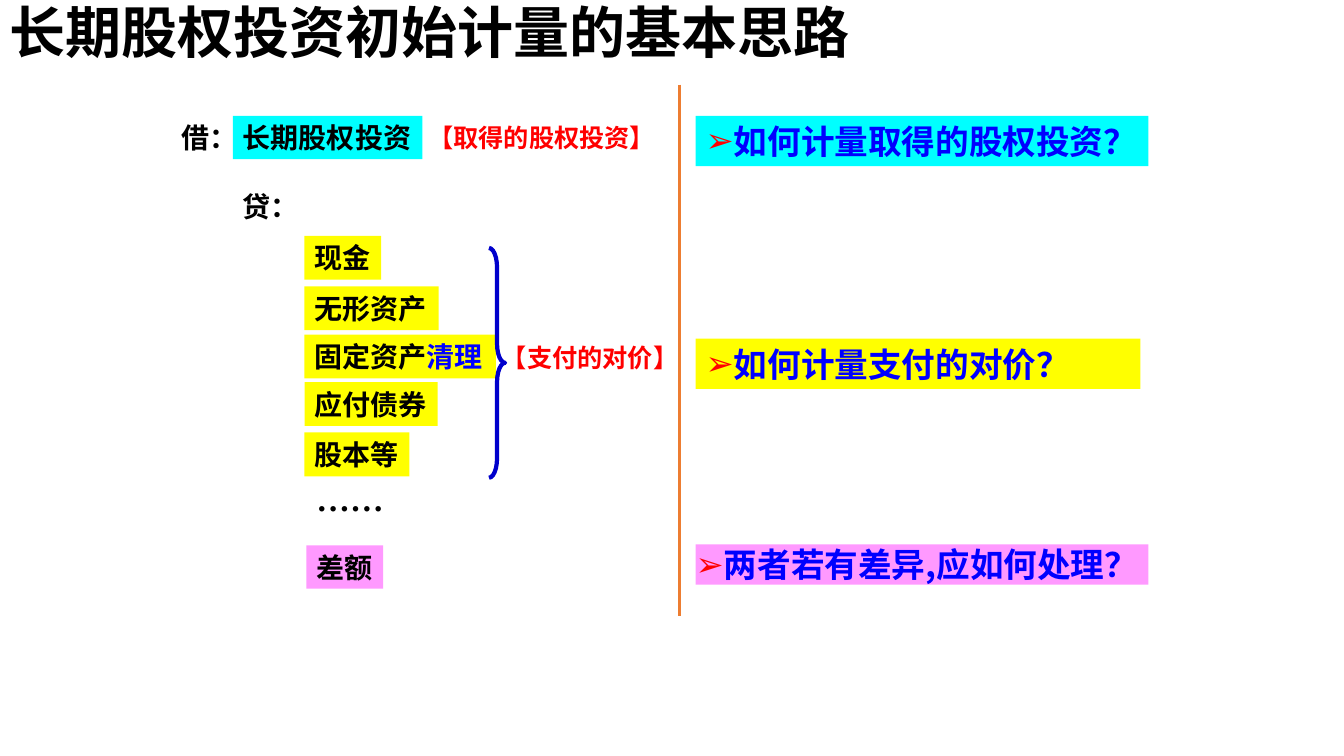
from dataclasses import dataclass
from typing import Optional

from lxml import etree
from pptx import Presentation
from pptx import util as u
from pptx.dml.color import RGBColor
from pptx.enum import shapes, text
from pptx.oxml import ns

# Grid of tenth-inch columns and rows
COLUMNS, ROWS = 133.3, 75
CELL = u.Inches(0.1)

BLACK = RGBColor(0x00, 0x00, 0x00)
RED = RGBColor(0xFF, 0x00, 0x00)
BLUE = RGBColor(0x00, 0x00, 0xFF)
NAVY = RGBColor(0x00, 0x00, 0xCC)
CYAN = RGBColor(0x00, 0xFF, 0xFF)
YELLOW = RGBColor(0xFF, 0xFF, 0x00)
PINK = RGBColor(0xFF, 0x99, 0xFF)
ORANGE = RGBColor(0xED, 0x7D, 0x31)
SANS, ARIAL, TIMES = "Noto Sans CJK SC", "Arial", "Times New Roman"


@dataclass(frozen=True)
class Span:
    words: str
    color: RGBColor = BLACK
    size: float = 20
    font: str = ARIAL


@dataclass(frozen=True)
class Label:
    column: float
    row: float
    width: float
    height: float
    spans: tuple[Span, ...]
    fill: Optional[RGBColor] = None
    wrap: bool = False
    bullet: bool = False
    inset: bool = True
    anchor: text.MSO_ANCHOR = text.MSO_ANCHOR.TOP
    line_spacing: float = 1.0


def cells(*counts: float) -> list[u.Emu]:
    return [u.Emu(round(count * CELL)) for count in counts]


def add_bullet(para) -> None:
    properties = para._p.get_or_add_pPr()
    indent = cells(2.7)[0]
    properties.set("marL", str(indent))
    properties.set("indent", str(-indent))
    color = etree.SubElement(properties, ns.qn("a:buClr"))
    etree.SubElement(color, ns.qn("a:srgbClr"), val=str(RED))
    etree.SubElement(properties, ns.qn("a:buFont"), typeface=ARIAL)
    etree.SubElement(properties, ns.qn("a:buChar"), char="➢")


def add_span(para, span: Span) -> None:
    run = para.add_run()
    run.text = span.words
    formats = {"size": u.Pt(span.size), "bold": True, "name": span.font}
    for name, value in formats.items():
        setattr(run.font, name, value)
    run.font.color.rgb = span.color
    east_asian = SANS if span.font == ARIAL else span.font
    etree.SubElement(run._r.get_or_add_rPr(), ns.qn("a:ea"), typeface=east_asian)


def add_label(page, label: Label) -> None:
    place = cells(label.column, label.row, label.width, label.height)
    if label.fill is None:
        box = page.shapes.add_textbox(*place)
    else:
        box = page.shapes.add_shape(shapes.MSO_SHAPE.RECTANGLE, *place)
        box.shadow.inherit = False
        box.fill.solid()
        box.fill.fore_color.rgb = label.fill
        box.line.fill.background()
    frame = box.text_frame
    side, edge = cells(1, 0.5) if label.inset else cells(0, 0)
    formats = {
        "word_wrap": label.wrap, "vertical_anchor": label.anchor,
        "margin_left": side, "margin_right": side,
        "margin_top": edge, "margin_bottom": edge,
    }
    for name, value in formats.items():
        setattr(frame, name, value)
    para = frame.paragraphs[0]
    para.alignment = text.PP_ALIGN.LEFT
    para.line_spacing = label.line_spacing
    if label.bullet:
        add_bullet(para)
    for span in label.spans:
        add_span(para, span)


def add_brace(page) -> None:
    brace = page.shapes.add_shape(shapes.MSO_SHAPE.RIGHT_BRACE, *cells(48.5, 24.6, 1.6, 22.8))
    brace.shadow.inherit = False
    brace.adjustments[0], brace.adjustments[1] = 1.205, 0.5
    brace.fill.background()
    brace.line.color.rgb = NAVY
    brace.line.width = u.Pt(3)


def add_divider(page) -> None:
    divider = page.shapes.add_connector(
        shapes.MSO_CONNECTOR.STRAIGHT, *cells(67.4, 8.4, 67.4, 61.1))
    divider.line.color.rgb = ORANGE
    divider.line.width = u.Pt(2.25)
    etree.SubElement(divider._element.spPr, ns.qn("a:effectLst"))


def question(row: float, width: float, height: float, words: str,
             fill: RGBColor, inset: bool = True) -> Label:
    return Label(69, row, width, height, (Span(words, BLUE, 24, SANS),), fill,
                 wrap=True, bullet=True, inset=inset)


TITLE = Label(0, -2.7, 90, 12.5, (Span("长期股权投资初始计量的基本思路", size=40, font=SANS),),
              wrap=True, anchor=text.MSO_ANCHOR.MIDDLE, line_spacing=0.9)

# Journal entry: debit, credit and difference
ENTRY = (
    Label(17, 11.5, 7.6, 4.3, (Span("借：", font=SANS),)),
    Label(23.1, 11.5, 18.8, 4.3, (Span("长期股权投资", font=SANS),), CYAN),
    Label(23.1, 18.3, 7.6, 4.3, (Span("贷", font=SANS), Span("："))),
    Label(30.4, 54.1, 7.6, 4.3, (Span("差额"),), PINK),
    Label(41.5, 11.6, 24.7, 4, (Span("【取得的股权投资】", RED, 18),)),
)

# Credited accounts: row, width, text
ACCOUNTS = (
    (23.4, 7.6, (Span("现金"),)),
    (28.4, 13.3, (Span("无形资产"),)),
    (33.2, 19, (Span("固定资产"), Span("清理", BLUE))),
    (37.9, 13.2, (Span("应付债券"),)),
    (42.9, 10.4, (Span("股本等"),)),
)

CONSIDERATION = Label(48.8, 33.5, 19.6, 4, (Span("【支付的对价】", RED, 18),))
ELLIPSIS = Label(30.4, 46.9, 9.5, 5, (Span("……", size=24, font=TIMES),), wrap=True)

QUESTIONS = (
    question(11.5, 44.9, 5, "如何计量取得的股权投资？", CYAN),
    question(33.6, 44.1, 5, "如何计量支付的对价？", YELLOW),
    question(54, 44.9, 4, "两者若有差异,应如何处理？", PINK, inset=False),
)


def main() -> None:
    deck = Presentation()
    deck.slide_width, deck.slide_height = cells(COLUMNS, ROWS)
    page = deck.slides.add_slide(deck.slide_layouts[6])

    # Title and left side
    for label in (TITLE, *ENTRY):
        add_label(page, label)
    for row, width, spans in ACCOUNTS:
        add_label(page, Label(30.2, row, width, 4.35, spans, YELLOW))
    add_brace(page)
    add_label(page, CONSIDERATION)

    # Right side
    for label in QUESTIONS:
        add_label(page, label)
    add_divider(page)
    add_label(page, ELLIPSIS)

    deck.save("out.pptx")


if __name__ == "__main__":
    main()
